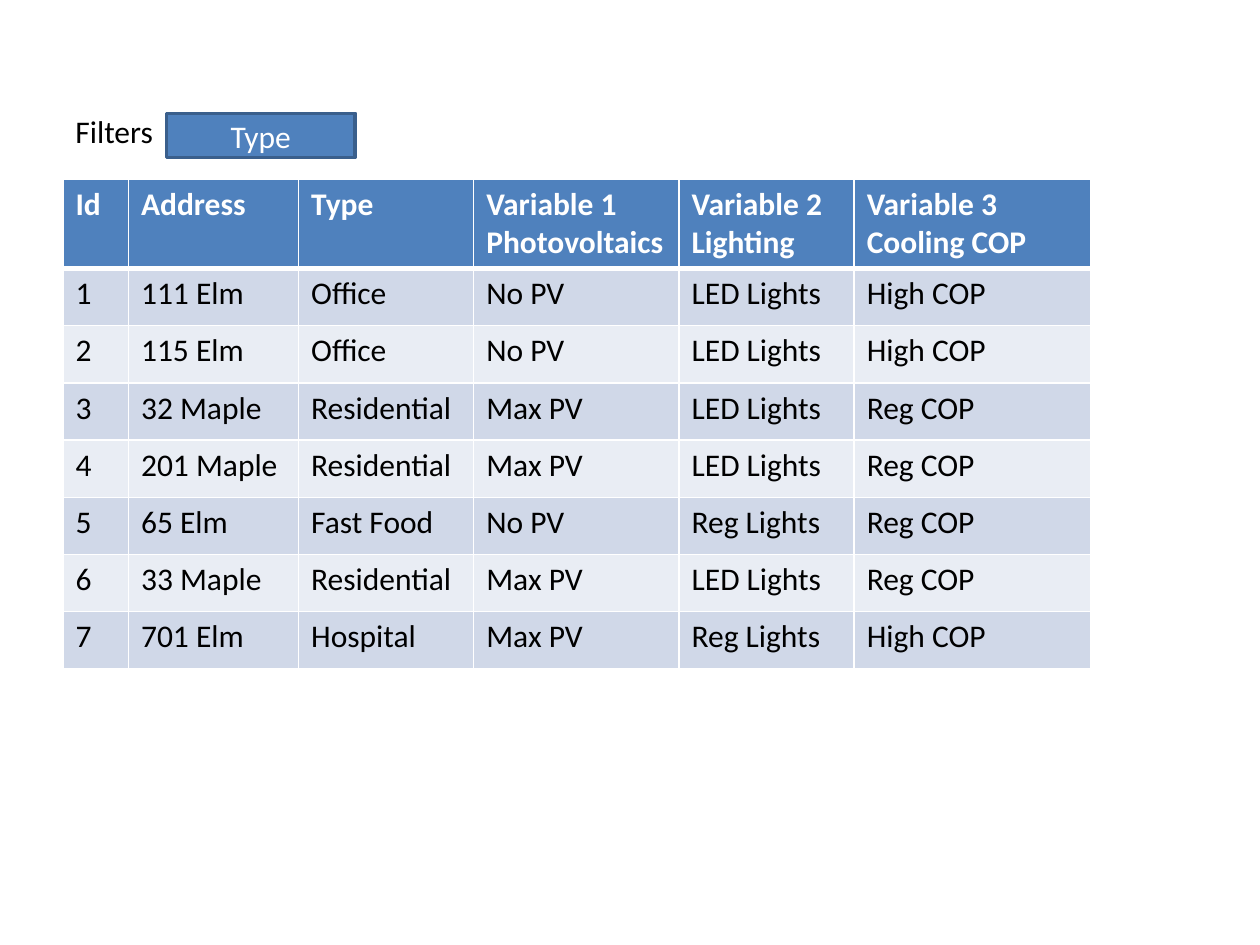
from lxml import etree
from pptx import Presentation
from pptx.dml.color import RGBColor
from pptx.enum.shapes import MSO_SHAPE
from pptx.enum.text import MSO_ANCHOR, MSO_AUTO_SIZE, PP_ALIGN
from pptx.oxml.ns import qn
from pptx.util import Inches, Pt

RECT = MSO_SHAPE.RECTANGLE
MIDDLE = MSO_ANCHOR.MIDDLE
GROW = MSO_AUTO_SIZE.SHAPE_TO_FIT_TEXT
LEFT, CENTER = PP_ALIGN.LEFT, PP_ALIGN.CENTER

# Content
LABEL, FILTER = "Filters", "Type"
HEAD = ["Id", "Address", "Type", "Variable 1\nPhotovoltaics",
        "Variable 2\nLighting", "Variable 3\nCooling COP"]
SITES = [
    ("1", "111 Elm", "Office", "No PV", "LED Lights", "High COP"),
    ("2", "115 Elm", "Office", "No PV", "LED Lights", "High COP"),
    ("3", "32 Maple", "Residential", "Max PV", "LED Lights", "Reg COP"),
    ("4", "201 Maple", "Residential", "Max PV", "LED Lights", "Reg COP"),
    ("5", "65 Elm", "Fast Food", "No PV", "Reg Lights", "Reg COP"),
    ("6", "33 Maple", "Residential", "Max PV", "LED Lights", "Reg COP"),
    ("7", "701 Elm", "Hospital", "Max PV", "Reg Lights", "High COP"),
]

# Layout in inches
COLS = [0.52, 1.35, 1.39, 1.63, 1.39, 1.88]
EDGE, TOP, TALL, HEAD_H = 0.5, 1.42, 3.88, 0.7
LABEL_W = 0.82


class Theme:
    font, size = "Calibri", 18
    blue, line = "4F81BD", "3A5F8C"
    bands = ("D0D8E8", "E9EDF4")
    white, black = "FFFFFF", "000000"
    thin, thick = 1, 3


def rgb(code):
    return RGBColor.from_string(code)


def write(frame, text, color, bold=False, align=LEFT):
    for i, part in enumerate(text.split("\n")):
        para = frame.add_paragraph() if i else frame.paragraphs[0]
        para.alignment = align
        run = para.add_run()
        run.text = part
        font = run.font
        font.name, font.size, font.bold = Theme.font, Pt(Theme.size), bold
        font.color.rgb = rgb(color)


def paint(item, color):
    item.fill.solid()
    item.fill.fore_color.rgb = rgb(color)


def rule(cell, top, bottom):
    """Draw white cell borders; call before the cell is filled."""
    props = cell._tc.get_or_add_tcPr()
    sides = {"L": Theme.thin, "R": Theme.thin, "T": top, "B": bottom}
    for side, width in sides.items():
        line = etree.SubElement(props, qn("a:ln" + side), w=str(Pt(width)))
        solid = etree.SubElement(line, qn("a:solidFill"))
        etree.SubElement(solid, qn("a:srgbClr"), val=Theme.white)


def add_grid(slide):
    rows = [HEAD, *SITES]
    table = slide.shapes.add_table(
        len(rows), len(COLS), Inches(EDGE), Inches(TOP),
        Inches(sum(COLS)), Inches(TALL)).table
    for col, width in zip(table.columns, COLS):
        col.width = Inches(width)
    body_h = (TALL - HEAD_H) / len(SITES)
    for r, row in enumerate(rows):
        head = r == 0
        table.rows[r].height = Inches(HEAD_H if head else body_h)
        fill = Theme.blue if head else Theme.bands[(r - 1) % 2]
        ink = Theme.white if head else Theme.black
        top = Theme.thick if r == 1 else Theme.thin
        bottom = Theme.thick if head else Theme.thin
        for c, text in enumerate(row):
            cell = table.cell(r, c)
            rule(cell, top, bottom)
            paint(cell, fill)
            write(cell.text_frame, text, ink, bold=head)


def add_filter(slide):
    # Label
    frame = slide.shapes.add_textbox(
        Inches(EDGE), Inches(0.84), Inches(LABEL_W), Inches(0.4)).text_frame
    frame.word_wrap = False
    frame.auto_size = GROW
    write(frame, LABEL, Theme.black)

    # Button beside the label
    button = slide.shapes.add_shape(
        RECT, Inches(EDGE + LABEL_W), Inches(0.9), Inches(1.5), Inches(0.35))
    button.shadow.inherit = False
    paint(button, Theme.blue)
    button.line.color.rgb = rgb(Theme.line)
    button.line.width = Pt(2)
    button.text_frame.vertical_anchor = MIDDLE
    write(button.text_frame, FILTER, Theme.white, align=CENTER)


def main():
    deck = Presentation()
    deck.slide_width, deck.slide_height = Inches(10), Inches(7.5)
    slide = deck.slides.add_slide(deck.slide_layouts[6])
    add_grid(slide)
    add_filter(slide)
    deck.save("out.pptx")


if __name__ == "__main__":
    main()
